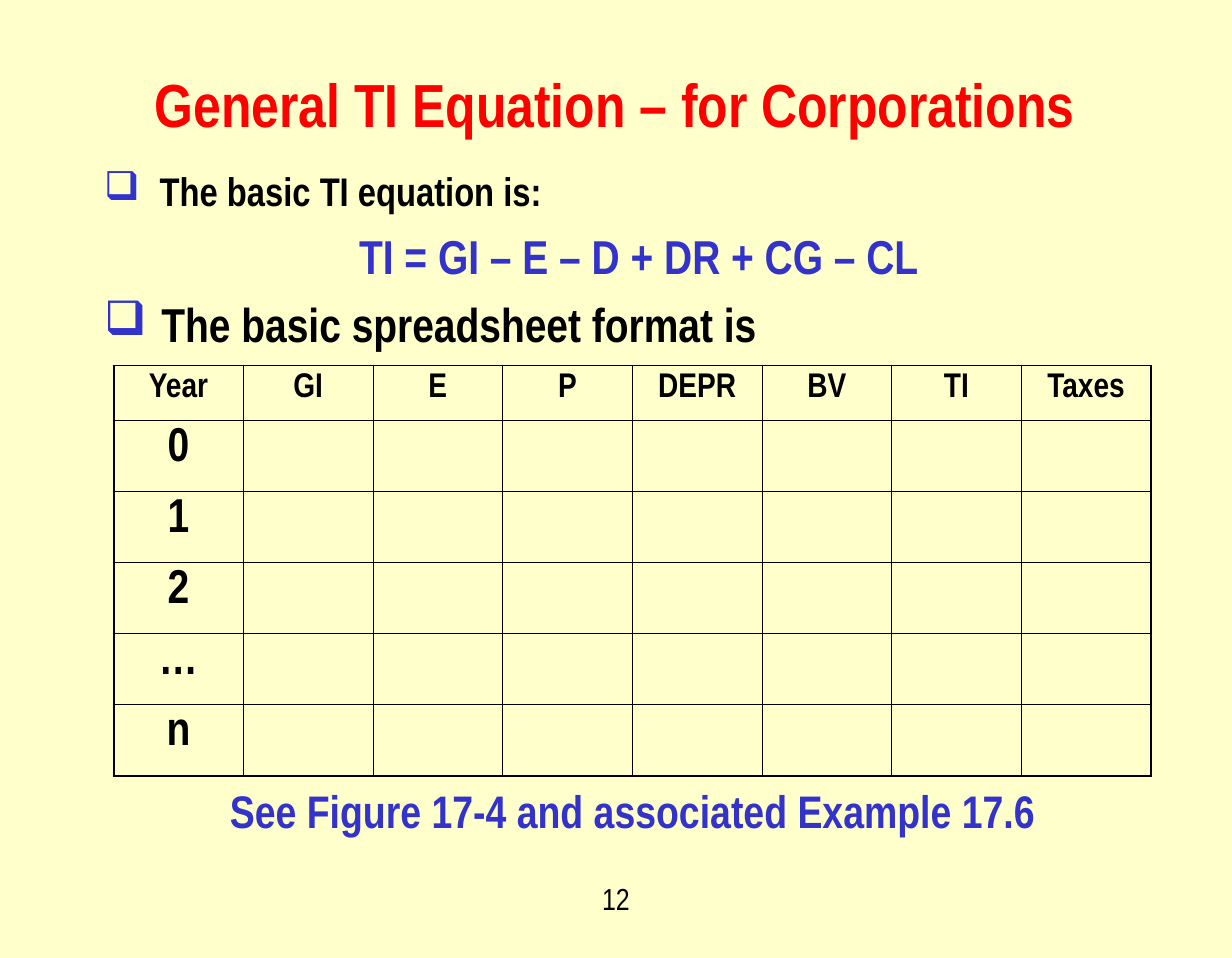
from lxml.etree import SubElement
from pptx import Presentation
from pptx.dml.color import RGBColor
from pptx.enum.text import MSO_ANCHOR, PP_ALIGN
from pptx.oxml import parse_xml
from pptx.oxml.ns import nsdecls, qn
from pptx.util import Inches, Pt

CREAM = RGBColor(0xFF, 0xFF, 0xCC)
RED = RGBColor(0xFF, 0x00, 0x00)
BLUE = RGBColor(0x33, 0x33, 0xCC)
BLACK = RGBColor(0x00, 0x00, 0x00)

HEADS = ["Year", "GI", "E", "P", "DEPR", "BV", "TI", "Taxes"]
YEARS = ["0", "1", "2", "…", "n"]
THIN, THICK = 0.45, 1.08


class Deck:
    face = "Arial Narrow"

    def __init__(self, wide, high):
        self.show = Presentation()
        self.show.slide_width = Inches(wide)
        self.show.slide_height = Inches(high)
        self.slide = self.show.slides.add_slide(self.show.slide_layouts[6])
        back = self.slide.background.fill
        back.solid()
        back.fore_color.rgb = CREAM

    def put(self, para, text, size, color=BLACK, bold=True, **form):
        """Fill a paragraph; form holds its paragraph attributes."""
        para.text = text
        for name, value in form.items():
            setattr(para, name, value)
        for name, value in {"name": self.face, "size": Pt(size), "bold": bold}.items():
            setattr(para.font, name, value)
        para.font.color.rgb = color

    def bullet(self, para):
        props = para._p.get_or_add_pPr()
        props.set("marL", str(Inches(0.34)))
        props.set("indent", str(-Inches(0.34)))
        tint = SubElement(props, qn("a:buClr"))
        SubElement(tint, qn("a:srgbClr")).set("val", str(BLUE))
        SubElement(props, qn("a:buChar")).set("char", "❑")

    def box(self, left, top, wide, high, anchor=MSO_ANCHOR.TOP, side=0.1):
        shape = self.slide.shapes.add_textbox(*map(Inches, (left, top, wide, high)))
        frame = shape.text_frame
        form = {"word_wrap": True, "vertical_anchor": anchor,
                "margin_left": Inches(side), "margin_right": Inches(side)}
        for name, value in form.items():
            setattr(frame, name, value)
        return frame

    def label(self, text, size, color, place, bold=True, **form):
        frame = self.box(*place, **form)
        self.put(frame.paragraphs[0], text, size, color, bold,
                 alignment=PP_ALIGN.CENTER)

    def edge(self, cell, sides):
        """Draw cell borders from a dict of side to width."""
        props = cell._tc.get_or_add_tcPr()
        for spot, (side, width) in enumerate(sides.items()):
            props.insert(spot, parse_xml(
                f'<a:ln{side} {nsdecls("a")} w="{Pt(width)}"><a:solidFill>'
                f'<a:srgbClr val="{BLACK}"/></a:solidFill></a:ln{side}>'))

    def grid(self, rows, cols, place, highs):
        table = self.slide.shapes.add_table(
            rows, cols, *map(Inches, place)).table
        table.first_row = table.horz_banding = False
        for row, high in zip(table.rows, highs):
            row.height = Inches(high)
        for r in range(rows):
            for c in range(cols):
                cell = table.cell(r, c)
                cell.fill.background()
                outer = {"L": c == 0, "R": c == cols - 1,
                         "T": r == 0, "B": r == rows - 1}
                self.edge(cell, {side: THICK if out else THIN
                                 for side, out in outer.items()})
        return table


def main():
    deck = Deck(9, 7)
    deck.label("General TI Equation – for Corporations", 32, RED,
               (0.67, 0.17, 7.65, 1.17), anchor=MSO_ANCHOR.MIDDLE)

    body = deck.box(0.67, 1.17, 7.99, 1.5, side=0.09)
    first, second, third = body.paragraphs[0], body.add_paragraph(), body.add_paragraph()
    for para in (first, third):
        deck.bullet(para)
    deck.put(first, " The basic TI equation is:", 21)
    deck.put(second, "TI = GI – E – D + DR + CG – CL", 25, BLUE,
             alignment=PP_ALIGN.CENTER, space_before=Pt(6.2))
    deck.put(third, " The basic spreadsheet format is", 25, space_before=Pt(6.2))

    table = deck.grid(len(YEARS) + 1, len(HEADS), (0.83, 2.67, 7.58, 3),
                      [0.4] + [0.52] * len(YEARS))
    for c, head in enumerate(HEADS):
        deck.put(table.cell(0, c).text_frame.paragraphs[0], head, 18,
                 alignment=PP_ALIGN.CENTER)
    for r, year in enumerate(YEARS, 1):
        deck.put(table.cell(r, 0).text_frame.paragraphs[0], year, 25,
                 alignment=PP_ALIGN.CENTER)

    deck.label("See Figure 17-4 and associated Example 17.6", 24, BLUE,
               (0.83, 5.67, 7.58, 0.5))
    deck.label("12", 16, BLACK, (3.9, 6.38, 1.2, 0.47), bold=False)
    deck.show.save("out.pptx")


if __name__ == "__main__":
    main()
